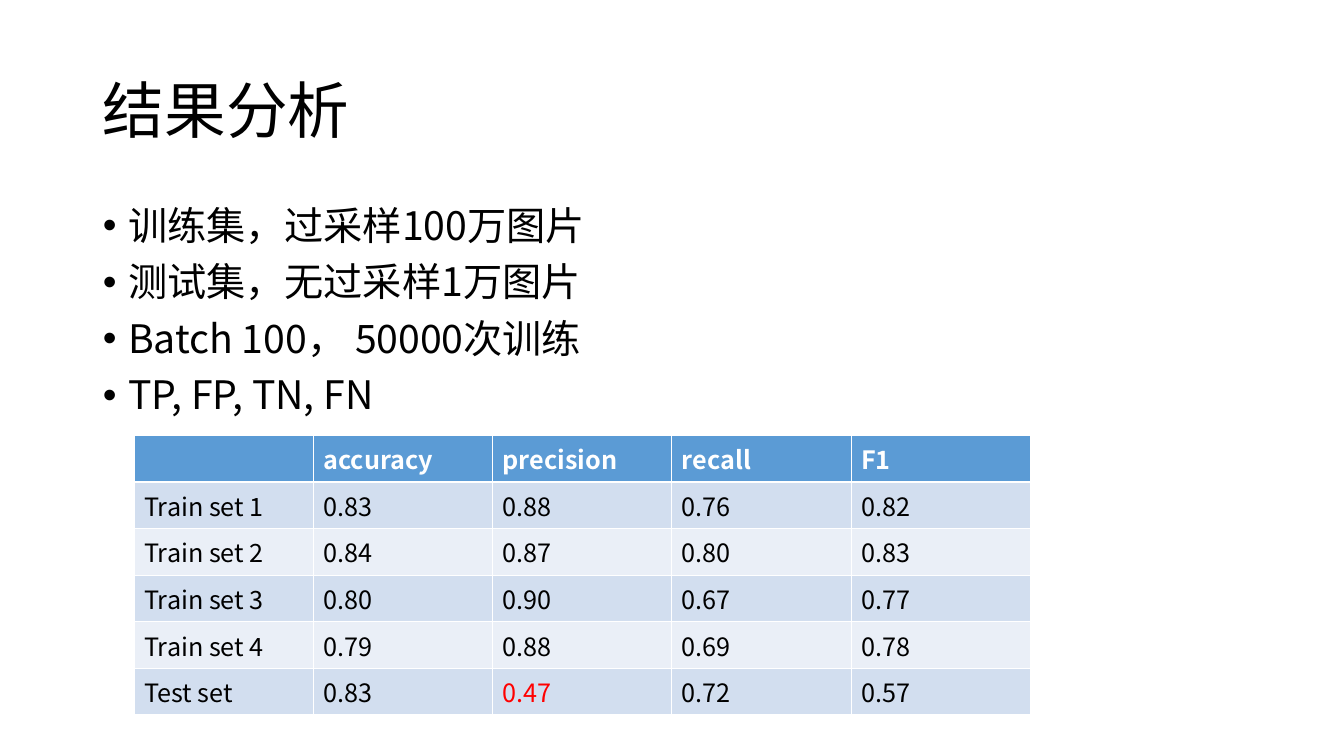
from dataclasses import dataclass

from lxml.etree import SubElement
from pptx import Presentation
from pptx.dml.color import RGBColor
from pptx.enum.text import MSO_ANCHOR, MSO_AUTO_SIZE, PP_ALIGN
from pptx.oxml.ns import qn
from pptx.shapes.placeholder import SlidePlaceholder
from pptx.slide import Slide
from pptx.text.text import _Paragraph as Paragraph
from pptx.util import Inches, Pt


@dataclass(frozen=True)
class Theme:
    font: str = "Noto Sans CJK SC"
    title_size: int = 44
    body_size: int = 28
    table_size: int = 18
    text: str = "000000"
    header_text: str = "FFFFFF"
    highlight: str = "FF0000"
    header_fill: str = "5B9BD5"
    band_fills: tuple[str, str] = ("D2DEEF", "EAEFF7")


@dataclass(frozen=True)
class Box:
    left: float
    top: float
    width: float
    height: float


@dataclass(frozen=True)
class Result:
    name: str
    accuracy: str
    precision: str
    recall: str
    f1: str

    def values(self) -> list[str]:
        return [self.name, self.accuracy, self.precision, self.recall, self.f1]


THEME = Theme()
TITLE_BOX = Box(0.92, 0.4, 11.5, 1.45)
BODY_BOX = Box(0.92, 2, 11.5, 4.76)
TABLE_BOX = Box(1.33, 4.32, 8.89, 2.43)
BULLETS = [
    "训练集，过采样100万图片",
    "测试集，无过采样1万图片",
    "Batch 100， 50000次训练",
    "TP, FP, TN, FN",
]
HEADER = Result("", "accuracy", "precision", "recall", "F1")
RESULTS = [
    Result("Train set 1", "0.83", "0.88", "0.76", "0.82"),
    Result("Train set 2", "0.84", "0.87", "0.80", "0.83"),
    Result("Train set 3", "0.80", "0.90", "0.67", "0.77"),
    Result("Train set 4", "0.79", "0.88", "0.69", "0.78"),
    Result("Test set", "0.83", "0.47", "0.72", "0.57"),
]
LOW_VALUE = "0.47"


def style_paragraph(paragraph: Paragraph, size: int, color: str, bold: bool = False) -> None:
    font = paragraph.font
    font.name, font.size, font.bold = THEME.font, Pt(size), bold
    font.color.rgb = RGBColor.from_string(color)
    # East Asian typeface
    SubElement(font._element, qn("a:ea"), typeface=THEME.font)


def fill_placeholder(placeholder: SlidePlaceholder, box: Box, lines: list[str],
                     size: int, anchor: MSO_ANCHOR) -> list[Paragraph]:
    placeholder.left, placeholder.top = Inches(box.left), Inches(box.top)
    placeholder.width, placeholder.height = Inches(box.width), Inches(box.height)
    frame = placeholder.text_frame
    frame.text = "\n".join(lines)
    frame.auto_size = MSO_AUTO_SIZE.NONE
    frame.vertical_anchor = anchor
    for paragraph in frame.paragraphs:
        paragraph.alignment = PP_ALIGN.LEFT
        paragraph.line_spacing = 0.9
        style_paragraph(paragraph, size, THEME.text)
    return list(frame.paragraphs)


def add_results_table(slide: Slide, box: Box, results: list[Result]) -> None:
    rows = [HEADER, *results]
    table = slide.shapes.add_table(
        len(rows), len(HEADER.values()), Inches(box.left), Inches(box.top),
        Inches(box.width), Inches(box.height)).table
    for row_index, result in enumerate(rows):
        is_header = row_index == 0
        fill = THEME.header_fill if is_header else THEME.band_fills[(row_index - 1) % 2]
        for column_index, value in enumerate(result.values()):
            cell = table.cell(row_index, column_index)
            cell.text = value
            cell.fill.solid()
            cell.fill.fore_color.rgb = RGBColor.from_string(fill)
            color = THEME.header_text if is_header else THEME.text
            if value == LOW_VALUE:
                color = THEME.highlight
            style_paragraph(cell.text_frame.paragraphs[0], THEME.table_size, color, is_header)


def main() -> None:
    presentation = Presentation()
    presentation.slide_width, presentation.slide_height = Inches(13.33), Inches(7.5)
    slide = presentation.slides.add_slide(presentation.slide_layouts[1])

    # Title
    fill_placeholder(slide.shapes.title, TITLE_BOX, ["结果分析"],
                     THEME.title_size, MSO_ANCHOR.MIDDLE)

    # Bulleted list
    bullets = fill_placeholder(slide.placeholders[1], BODY_BOX, BULLETS,
                               THEME.body_size, MSO_ANCHOR.TOP)
    for paragraph in bullets:
        paragraph.space_before = Pt(10)
        properties = paragraph._p.get_or_add_pPr()
        properties.set("marL", str(Inches(0.25)))
        properties.set("indent", str(Inches(-0.25)))

    # Results table
    add_results_table(slide, TABLE_BOX, RESULTS)

    presentation.save("out.pptx")


if __name__ == "__main__":
    main()
